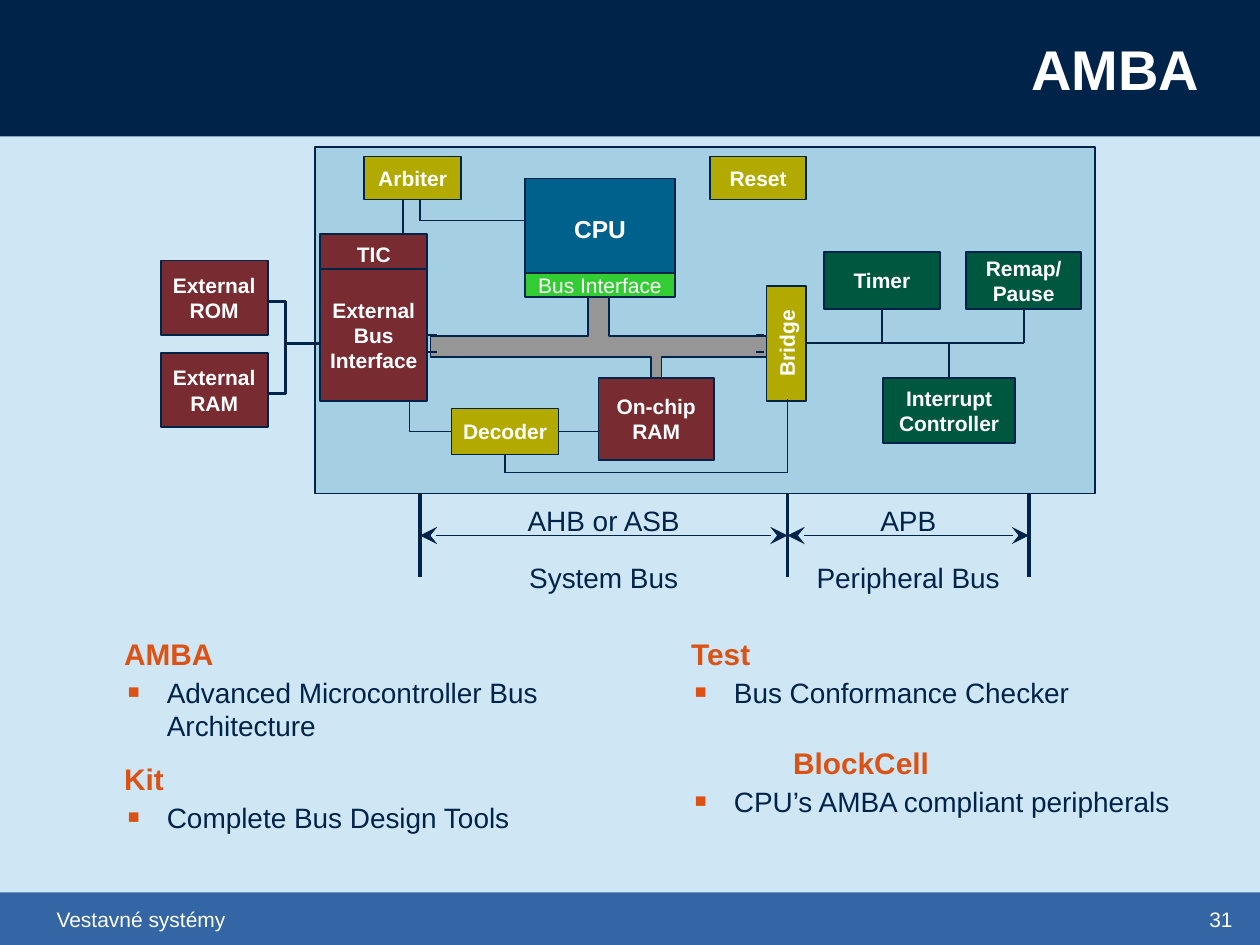
from dataclasses import dataclass
from typing import Optional

from lxml import etree
from pptx import Presentation
from pptx import util as u
from pptx.dml.color import RGBColor
from pptx.enum import shapes, text
from pptx.oxml import ns

NAVY = RGBColor(0x00, 0x23, 0x4A)
FOOTER_BLUE = RGBColor(0x34, 0x65, 0xA4)
PALE_BLUE = RGBColor(0xCF, 0xE7, 0xF5)
CHIP_BLUE = RGBColor(0xA5, 0xD0, 0xE3)
CORE_BLUE = RGBColor(0x00, 0x61, 0x8C)
OLIVE = RGBColor(0xB2, 0xAA, 0x00)
GREEN = RGBColor(0x00, 0x57, 0x40)
LIME = RGBColor(0x33, 0xCC, 0x33)
MAROON = RGBColor(0x78, 0x2B, 0x30)
GREY = RGBColor(0x96, 0x96, 0x96)
ORANGE = RGBColor(0xDB, 0x52, 0x14)
WHITE = RGBColor(0xFF, 0xFF, 0xFF)

COLUMNS, ROWS = 120, 90
CELL = u.Inches(10) / COLUMNS
LEFT, CENTER, RIGHT = text.PP_ALIGN.LEFT, text.PP_ALIGN.CENTER, text.PP_ALIGN.RIGHT
TOP, MIDDLE = text.MSO_ANCHOR.TOP, text.MSO_ANCHOR.MIDDLE


@dataclass(frozen=True)
class Box:
    """A rectangle or caption; position and size are in grid cells."""
    label: str
    x: float
    y: float
    w: float
    h: float
    fill: Optional[RGBColor] = None
    size: float = 12
    bold: bool = True
    color: RGBColor = WHITE
    outline: bool = True
    align: text.PP_ALIGN = CENTER
    anchor: text.MSO_ANCHOR = MIDDLE
    rotation: float = 0
    inset: float = 0.08
    wrap: bool = False


@dataclass(frozen=True)
class Joint:
    block: str
    site: int


@dataclass(frozen=True)
class Wire:
    """A straight line between grid points, optionally joined to blocks."""
    x1: float
    y1: float
    x2: float
    y2: float
    weight: float = 1
    begin: Optional[Joint] = None
    end: Optional[Joint] = None
    arrows: bool = False


@dataclass(frozen=True)
class Topic:
    heading: str
    detail: str
    indent: float = 0.47
    before: float = 10.6


def caption(label, x, y, w, h, size=16, color=NAVY, **style) -> Box:
    return Box(label, x, y, w, h, size=size, color=color, inset=0.1,
               **{"bold": False, **style})


BARS = [
    Box("", 0, 0, 120, 13, NAVY, outline=False),
    Box("", 0, 85, 120, 5, FOOTER_BLUE, outline=False),
]
CAPTIONS = [
    caption("AMBA", 26, 0, 89.4, 13, 32, WHITE, bold=True, align=RIGHT, wrap=True),
    caption("Vestavné systémy", 4.2, 85.7, 100, 3.6, 12, WHITE, align=LEFT, wrap=True),
    caption("31", 114, 85.7, 6, 3.6, 12, WHITE, align=LEFT, wrap=True),
    caption("AHB or ASB", 44, 47.4, 27, 4.4, anchor=TOP, wrap=True),
    caption("APB", 73, 47.4, 27, 4.4, anchor=TOP, wrap=True),
    caption("System Bus", 40, 51, 35, 8),
    caption("Peripheral Bus", 75, 51, 23, 8),
]
CHIP = Box("", 30, 14, 74.3, 33, CHIP_BLUE)
BUS_OUTLINE = [(55.9, 26.3), (57.6, 26.3), (57.6, 31.9), (72.8, 31.9), (72.8, 33.5),
               (63.2, 33.5), (63.2, 35.9), (61.6, 35.9), (61.6, 33.5), (40.8, 33.5),
               (40.8, 31.9), (55.9, 31.9)]
BLOCKS = [
    Box("Bridge", 69.4, 30.8, 11, 3.8, OLIVE, rotation=270),
    Box("Timer", 78.5, 24, 11, 5.4, GREEN),
    Box("Remap/\nPause", 92, 24, 11, 5.4, GREEN),
    Box("Interrupt\nController", 84.1, 36, 12.6, 6.2, GREEN),
    Box("On-chip\nRAM", 57, 36, 11, 7.8, MAROON),
    Box("CPU", 50, 17, 14.3, 9.5, CORE_BLUE, size=14),
    Box("Bus Interface", 50, 26, 14.3, 2.3, LIME, bold=False),
    Box("TIC", 30.5, 22.3, 10.2, 3.9, MAROON),
    Box("External\nBus\nInterface", 30.5, 25.6, 10.2, 12.6, MAROON),
    Box("Arbiter", 34.7, 14.9, 9.2, 4.1, OLIVE),
    Box("Reset", 67.6, 14.9, 9.2, 4.1, OLIVE),
    Box("External\nROM", 15.3, 24.8, 10.2, 7.1, MAROON),
    Box("External\nRAM", 15.3, 33.6, 10.2, 7.1, MAROON),
    Box("Decoder", 43, 38.9, 10.2, 4.4, OLIVE),
]
WIRES = [
    # Bus ends
    *(Wire(x, y, x + 0.8, y) for x in (40.8, 72) for y in (31.9, 33.5)),
    # Peripheral bus
    Wire(84, 29.4, 84, 32.7, begin=Joint("Timer", 2)),
    Wire(97.5, 29.4, 97.5, 32.7, begin=Joint("Remap/\nPause", 2)),
    Wire(90.4, 32.7, 90.4, 36, end=Joint("Interrupt\nController", 0)),
    Wire(97.5, 32.7, 76.8, 32.7),
    # Arbiter
    Wire(38.4, 19, 38.4, 22.3),
    Wire(40, 19, 40, 21),
    Wire(40, 21, 50, 21),
    # Decoder
    Wire(48.1, 43.3, 48.1, 45, begin=Joint("Decoder", 2)),
    Wire(48.1, 45, 75, 45),
    Wire(75, 38, 75, 45),
    Wire(39, 38.2, 39, 41.1),
    Wire(39, 41.1, 43, 41.1, end=Joint("Decoder", 1)),
    Wire(53.2, 41.1, 57, 41.1, begin=Joint("Decoder", 3)),
    # External memories
    Wire(25.5, 28.7, 27.2, 28.7, 2),
    Wire(25.5, 37.5, 27.2, 37.5, 2),
    Wire(27.2, 28.7, 27.2, 37.5, 2),
    Wire(27.2, 32.7, 30.4, 32.7, 2),
    # Bus extents
    *(Wire(x, 47, x, 55, 2) for x in (40, 75, 98)),
    *(Wire(a, 51, b, 51, arrows=True) for a, b in ((40, 75), (75, 98))),
]
LEFT_TOPICS = [
    Topic("AMBA", "Advanced Microcontroller Bus Architecture"),
    Topic("Kit", "Complete Bus Design Tools"),
]
RIGHT_TOPICS = [
    Topic("Test", "Bus Conformance Checker"),
    Topic("BlockCell", "CPU’s AMBA compliant peripherals", 1.28, 20.5),
]


def cells(*values: float) -> list[int]:
    return [round(value * CELL) for value in values]


def set_font(paragraph, size: float, color: RGBColor, bold: bool) -> None:
    font = paragraph.font
    font.name, font.size, font.bold = "Arial", u.Pt(size), bold
    font.color.rgb = color


def paint(shape, fill: RGBColor, outline: bool) -> None:
    shape.shadow.inherit = False
    shape.fill.solid()
    shape.fill.fore_color.rgb = fill
    if outline:
        shape.line.color.rgb, shape.line.width = NAVY, u.Pt(1)
    else:
        shape.line.fill.background()


def draw_box(slide, box: Box):
    area = cells(box.x, box.y, box.w, box.h)
    if box.fill is None:
        shape = slide.shapes.add_textbox(*area)
    else:
        shape = slide.shapes.add_shape(shapes.MSO_SHAPE.RECTANGLE, *area)
        paint(shape, box.fill, box.outline)
        shape.rotation = box.rotation
    if box.label:
        frame = shape.text_frame
        frame.text, frame.word_wrap, frame.vertical_anchor = box.label, box.wrap, box.anchor
        frame.margin_left = frame.margin_right = u.Inches(box.inset)
        frame.margin_top = frame.margin_bottom = u.Inches(box.inset / 2)
        for paragraph in frame.paragraphs:
            paragraph.alignment = box.align
            set_font(paragraph, box.size, box.color, box.bold)
    return shape


def draw_bus(slide) -> None:
    start, *rest = BUS_OUTLINE
    builder = slide.shapes.build_freeform(*start, scale=CELL)
    builder.add_line_segments(rest, close=True)
    paint(builder.convert_to_shape(), GREY, True)


def draw_wire(slide, wire: Wire, blocks: dict) -> None:
    line = slide.shapes.add_connector(shapes.MSO_CONNECTOR.STRAIGHT,
                                      *cells(wire.x1, wire.y1, wire.x2, wire.y2))
    line.line.color.rgb, line.line.width = NAVY, u.Pt(wire.weight)
    if wire.arrows:
        outline = line.line._get_or_add_ln()
        for end in ("a:headEnd", "a:tailEnd"):
            etree.SubElement(outline, ns.qn(end), type="stealth", w="lg", len="lg")
    etree.SubElement(line._element.spPr, ns.qn("a:effectLst"))
    if wire.begin:
        line.begin_connect(blocks[wire.begin.block], wire.begin.site)
    if wire.end:
        line.end_connect(blocks[wire.end.block], wire.end.site)


def add_square_bullet(properties) -> None:
    color = etree.SubElement(properties, ns.qn("a:buClr"))
    etree.SubElement(color, ns.qn("a:srgbClr"), val=str(ORANGE))
    etree.SubElement(properties, ns.qn("a:buSzPct"), val="70000")
    etree.SubElement(properties, ns.qn("a:buFont"), typeface="Arial")
    etree.SubElement(properties, ns.qn("a:buChar"), char="■")


def draw_topics(slide, topics: list[Topic], x: float, y: float, w: float, h: float) -> None:
    frame = slide.shapes.add_textbox(*cells(x, y, w, h)).text_frame
    frame.word_wrap = True
    frame.text = "\n".join(line for topic in topics for line in (topic.heading, topic.detail))
    lines = iter(frame.paragraphs)
    for topic, heading, detail in zip(topics, lines, lines):
        heading._p.get_or_add_pPr().set("marL", str(u.Inches(topic.indent)))
        heading.space_before = u.Pt(topic.before)
        set_font(heading, 17, ORANGE, True)
        properties = detail._p.get_or_add_pPr()
        properties.set("marL", str(u.Inches(0.81)))
        properties.set("indent", str(u.Inches(-0.31)))
        detail.space_before = u.Pt(2)
        add_square_bullet(properties)
        set_font(detail, 16, NAVY, False)


def main() -> None:
    deck = Presentation()
    deck.slide_width, deck.slide_height = cells(COLUMNS, ROWS)
    slide = deck.slides.add_slide(deck.slide_layouts[6])
    slide.background.fill.solid()
    slide.background.fill.fore_color.rgb = PALE_BLUE
    for box in [*BARS, CHIP]:
        draw_box(slide, box)
    draw_bus(slide)
    blocks = {block.label: draw_box(slide, block) for block in BLOCKS}
    for wire in WIRES:
        draw_wire(slide, wire, blocks)
    for label in CAPTIONS:
        draw_box(slide, label)
    draw_topics(slide, LEFT_TOPICS, 5, 60, 59, 24)
    draw_topics(slide, RIGHT_TOPICS, 59, 60, 58, 23)
    deck.save("out.pptx")


if __name__ == "__main__":
    main()
